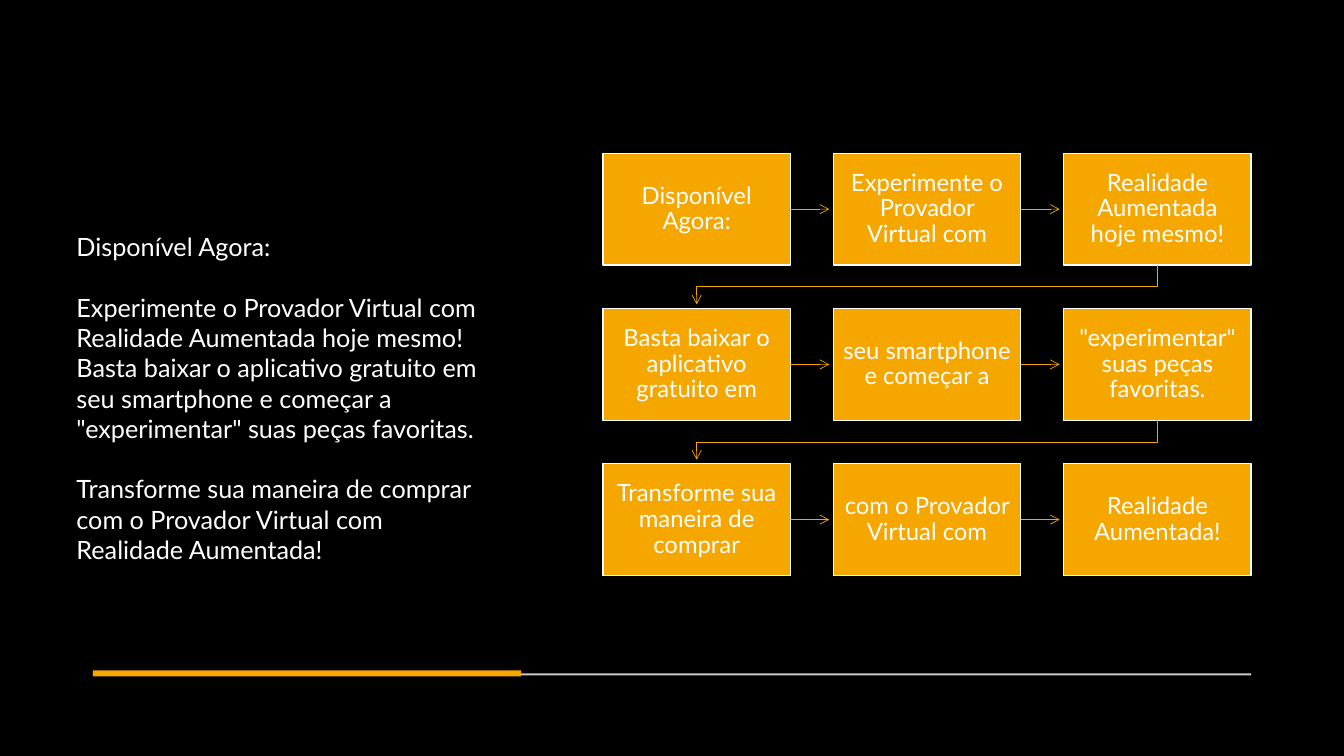
from dataclasses import dataclass

from pptx import Presentation
from pptx import util as u
from pptx.dml import color
from pptx.enum import shapes, text
from pptx.oxml import ns, xmlchemy
from pptx.shapes import autoshape, connector as connectors
from pptx.slide import Slide
from pptx.text import text as texts

BLACK, WHITE, ORANGE, GREY = "000000", "FFFFFF", "F5A700", "C9C9C9"
FONT = "Lato"
COLUMNS = 3
GRID_LEFT, GRID_TOP = 5.98, 1.52
BOX_WIDTH, BOX_HEIGHT = 1.86, 1.11
COLUMN_PITCH = (10.55 - GRID_LEFT) / (COLUMNS - 1)
ROW_PITCH = 1.54
ARROW_CLEARANCE = 0.04

STEPS = [
    "Disponível Agora:",
    "Experimente o Provador Virtual com",
    "Realidade Aumentada hoje mesmo!",
    "Basta baixar o aplicativo gratuito em",
    "seu smartphone e começar a",
    '"experimentar" suas peças favoritas.',
    "Transforme sua maneira de comprar",
    "com o Provador Virtual com",
    "Realidade Aumentada!",
]

MESSAGE = [
    ["Disponível Agora:"],
    [
        "Experimente o Provador Virtual com",
        "Realidade Aumentada hoje mesmo!",
        "Basta baixar o aplicativo gratuito em",
        "seu smartphone e começar a",
        '"experimentar" suas peças favoritas.',
    ],
    [
        "Transforme sua maneira de comprar",
        "com o Provador Virtual com",
        "Realidade Aumentada!",
    ],
]


@dataclass(frozen=True)
class Box:
    left: float
    top: float
    width: float
    height: float
    fill: str
    line: str | None = None

    @property
    def center(self) -> float:
        return self.left + self.width / 2

    @property
    def middle(self) -> float:
        return self.top + self.height / 2

    @property
    def right(self) -> float:
        return self.left + self.width

    @property
    def bottom(self) -> float:
        return self.top + self.height


RULES = [
    Box(0.92, 6.68, 11.49, 0.02, GREY),
    Box(0.92, 6.65, 4.25, 0.06, ORANGE),
]


def rgb(value: str) -> color.RGBColor:
    return color.RGBColor.from_string(value)


def style_paragraph(paragraph: texts._Paragraph, size: float) -> None:
    paragraph.font.name = FONT
    paragraph.font.size = u.Pt(size)
    paragraph.font.color.rgb = rgb(WHITE)


def draw_box(slide: Slide, box: Box) -> autoshape.Shape:
    shape = slide.shapes.add_shape(
        shapes.MSO_SHAPE.RECTANGLE,
        u.Inches(box.left), u.Inches(box.top),
        u.Inches(box.width), u.Inches(box.height),
    )
    shape.shadow.inherit = False
    shape.fill.solid()
    shape.fill.fore_color.rgb = rgb(box.fill)
    if box.line:
        shape.line.color.rgb = rgb(box.line)
        shape.line.width = u.Pt(1)
    else:
        shape.line.fill.background()
    return shape


def write_step(shape: autoshape.Shape, words: str) -> None:
    frame = shape.text_frame
    frame.word_wrap = True
    frame.vertical_anchor = text.MSO_ANCHOR.MIDDLE
    frame.margin_left = frame.margin_right = u.Inches(0.09)
    frame.margin_top = frame.margin_bottom = u.Inches(0.1)
    paragraph = frame.paragraphs[0]
    paragraph.text = words
    paragraph.alignment = text.PP_ALIGN.CENTER
    paragraph.line_spacing = 0.9
    style_paragraph(paragraph, 17)


def style_arrow(arrow: autoshape.Shape | connectors.Connector) -> None:
    arrow.line.color.rgb = rgb(ORANGE)
    arrow.line.width = u.Pt(0.5)
    tail = xmlchemy.OxmlElement("a:tailEnd")
    tail.set("type", "arrow")
    arrow.line._get_or_add_ln().append(tail)


def draw_straight_arrow(slide: Slide, start: Box, end: Box, shape: autoshape.Shape) -> None:
    arrow = slide.shapes.add_connector(
        shapes.MSO_CONNECTOR.STRAIGHT,
        u.Inches(start.right), u.Inches(start.middle),
        u.Inches(end.left - ARROW_CLEARANCE), u.Inches(end.middle),
    )
    arrow.begin_connect(shape, 3)
    style_arrow(arrow)
    properties = arrow._element.find(ns.qn("p:spPr"))
    properties.append(xmlchemy.OxmlElement("a:effectLst"))


def draw_return_arrow(slide: Slide, start: Box, end: Box) -> None:
    turn = (start.bottom + end.top) / 2
    points = [
        (start.center, turn),
        (end.center, turn),
        (end.center, end.top - ARROW_CLEARANCE),
    ]
    builder = slide.shapes.build_freeform(u.Inches(start.center), u.Inches(start.bottom))
    builder.add_line_segments([(u.Inches(x), u.Inches(y)) for x, y in points], close=False)
    arrow = builder.convert_to_shape()
    arrow.shadow.inherit = False
    arrow.fill.background()
    style_arrow(arrow)


def draw_flow(slide: Slide) -> None:
    boxes = [
        Box(
            GRID_LEFT + index % COLUMNS * COLUMN_PITCH,
            GRID_TOP + index // COLUMNS * ROW_PITCH,
            BOX_WIDTH, BOX_HEIGHT, ORANGE, WHITE,
        )
        for index in range(len(STEPS))
    ]
    for index, (box, words) in enumerate(zip(boxes, STEPS)):
        shape = draw_box(slide, box)
        write_step(shape, words)
        if index + 1 == len(boxes):
            continue
        following = boxes[index + 1]
        if following.top == box.top:
            draw_straight_arrow(slide, box, following, shape)
        else:
            draw_return_arrow(slide, box, following)


def draw_message(slide: Slide) -> None:
    frame = slide.shapes.add_textbox(
        u.Inches(0.66), u.Inches(2.25), u.Inches(4.51), u.Inches(3.43)
    ).text_frame
    frame.word_wrap = True
    paragraph = frame.paragraphs[0]
    for block_index, block in enumerate(MESSAGE):
        for line_index, words in enumerate(block):
            if block_index or line_index:
                paragraph = frame.add_paragraph()
            paragraph.text = words
            style_paragraph(paragraph, 18)
            if block_index and not line_index:
                paragraph.space_before = u.Pt(21.6)


def main() -> None:
    presentation = Presentation()
    presentation.slide_width = u.Inches(13.33)
    presentation.slide_height = u.Inches(7.5)
    slide = presentation.slides.add_slide(presentation.slide_layouts[6])
    slide.background.fill.solid()
    slide.background.fill.fore_color.rgb = rgb(BLACK)
    draw_flow(slide)
    for rule in RULES:
        draw_box(slide, rule)
    draw_message(slide)
    presentation.save("out.pptx")


if __name__ == "__main__":
    main()
